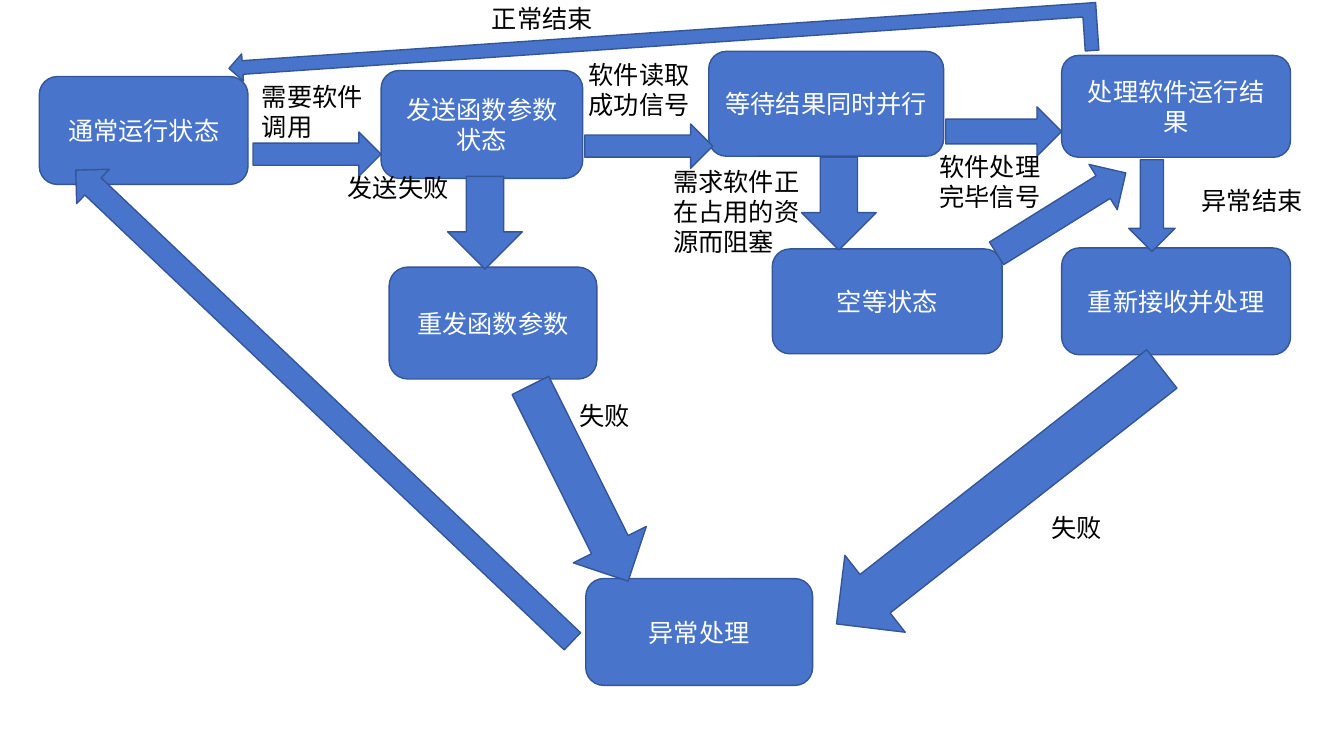
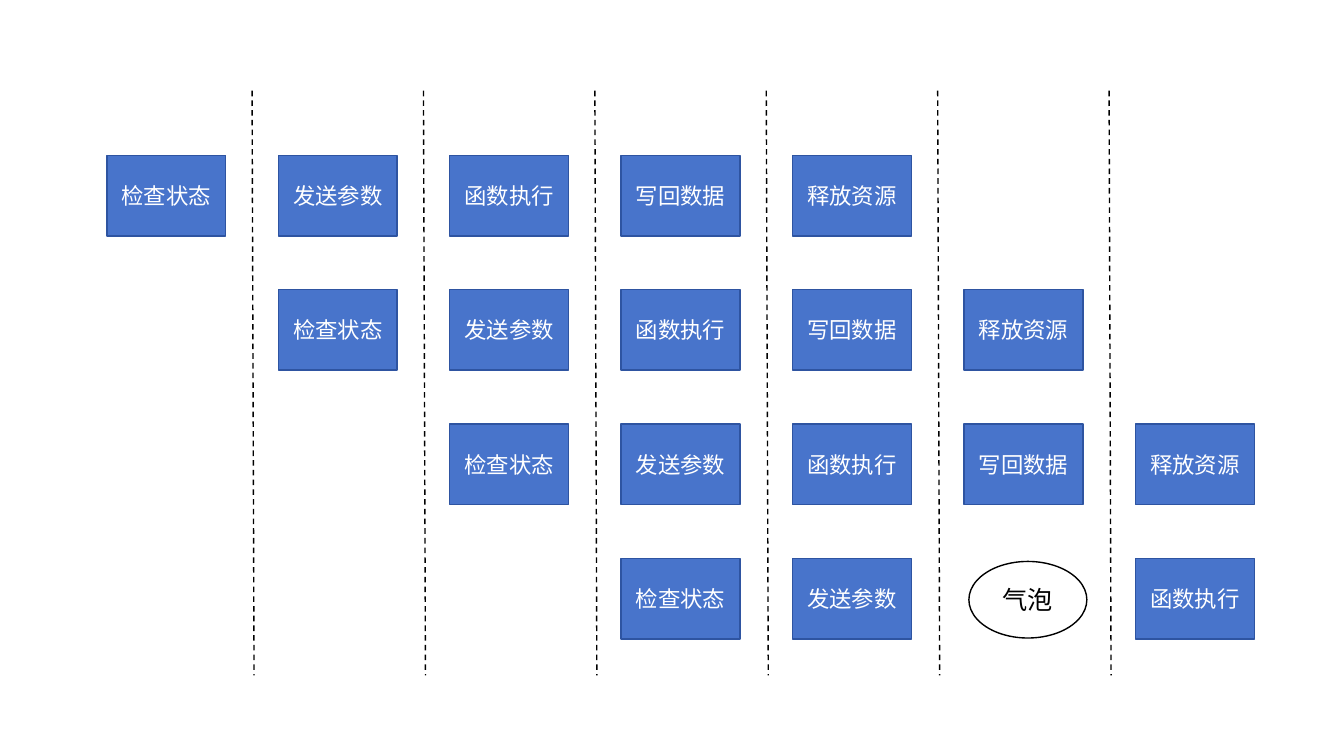
from pptx import Presentation
from pptx.dml.color import RGBColor
from pptx.enum.dml import MSO_LINE
from pptx.enum.shapes import MSO_CONNECTOR, MSO_SHAPE
from pptx.enum.text import MSO_ANCHOR, PP_ALIGN
from pptx.oxml.ns import qn
from pptx.util import Inches, Pt

BOX = MSO_SHAPE.RECTANGLE
STATE = MSO_SHAPE.ROUNDED_RECTANGLE
OVAL = MSO_SHAPE.OVAL
ARROW = MSO_SHAPE.RIGHT_ARROW
BENT_ARROW = MSO_SHAPE.BENT_UP_ARROW
STRAIGHT = MSO_CONNECTOR.STRAIGHT
DASH = MSO_LINE.DASH
CENTER, LEFT = PP_ALIGN.CENTER, PP_ALIGN.LEFT
MIDDLE = MSO_ANCHOR.MIDDLE

FONT = "Calibri"
COLORS = {
    "blue": "4874CB",
    "state_edge": "355696",
    "stage_edge": "2E54A1",
    "white": "FFFFFF",
    "black": "000000",
}

# State machine: text, left, top, width, height
STATES = [
    ("通常运行状态", 0.39, 0.76, 2.07, 1.07),
    ("发送函数参数状态", 3.78, 0.7, 2, 1.07),
    ("等待结果同时并行", 7.03, 0.51, 2.33, 1.04),
    ("异常处理", 5.81, 5.74, 2.25, 1.06),
    ("空等状态", 7.66, 2.47, 2.28, 1.04),
    ("重发函数参数", 3.86, 2.65, 2.06, 1.11),
    ("重新接收并处理", 10.53, 2.46, 2.27, 1.06),
    ("处理软件运行结果", 10.53, 0.55, 2.27, 1.01),
]
# Transitions: left, top, width, height before rotation, then degrees
TRANSITIONS = [
    (ARROW, 2.51, 1.31, 1.27, 0.44, 0),
    (ARROW, 9.77, 1.85, 1.51, 0.53, 328.1),
    (ARROW, 4.35, 1.84, 0.92, 0.74, 90),
    (ARROW, 9.38, 1.06, 1.15, 0.49, 0),
    (ARROW, 5.8, 1.23, 1.27, 0.44, 0),
    (ARROW, 4.66, 4.39, 2.17, 0.81, 63.5),
    (ARROW, 7.86, 1.65, 0.92, 0.74, 90),
    (ARROW, 10.97, 1.81, 0.91, 0.46, 90),
    (ARROW, 7.86, 4.44, 4.1, 0.97, 141.9),
    (ARROW, -0.18, 3.79, 6.79, 0.47, 223.5),
    (BENT_ARROW, 6.31, -3.79, 0.54, 8.62, 266.1),
]
# Conditions beside the transitions: text, left, top, width, height
CONDITIONS = [
    ("需要软件调用", 2.5, 0.76, 1.3, 0.71),
    ("软件读取成功信号", 5.74, 0.54, 1.3, 0.71),
    ("发送失败", 3.35, 1.66, 1.3, 0.4),
    ("需求软件正在占用的资源而阻塞", 6.58, 1.6, 1.59, 1.01),
    ("软件处理完毕信号", 9.22, 1.45, 1.3, 0.71),
    ("异常结束", 11.82, 1.79, 1.3, 0.4),
    ("失败", 5.74 - 0.09, 3.92, 1.72, 0.4),
    ("正常结束", 4.78, -0.02, 1.72, 0.4),
    ("失败", 10.33, 5.03, 0.98, 0.4),
]

# Pipeline: each task starts one column later than the one above
STAGES = ["检查状态", "发送参数", "函数执行", "写回数据", "释放资源"]
BUBBLE = "气泡"
TASKS = [STAGES] * 3 + [STAGES[:2] + [BUBBLE] + STAGES[2:3]]
GRID_LEFT, GRID_TOP = 1.06, 1.54
COLUMN_STEP, ROW_STEP = 1.7, 4 / 3
STAGE_WIDTH, STAGE_HEIGHT = 1.18, 0.8
DIVIDER_LEFT, DIVIDER_TOP, DIVIDER_BOTTOM = 2.5, 0.9, 6.7
DIVIDER_COUNT, DIVIDER_SLANT = 6, 0.02


def color(name):
    return RGBColor.from_string(COLORS[name])


def set_text(frame, text, size, text_color, align):
    frame.word_wrap = True
    paragraph = frame.paragraphs[0]
    paragraph.text = text
    paragraph.alignment = align
    paragraph.font.name = FONT
    paragraph.font.size = Pt(size)
    paragraph.font.color.rgb = color(text_color)


def add_figure(slide, kind, bounds, fill="blue", edge="state_edge"):
    figure = slide.shapes.add_shape(kind, *map(Inches, bounds))
    figure.shadow.inherit = False
    figure.fill.solid()
    figure.fill.fore_color.rgb = color(fill)
    figure.line.color.rgb = color(edge)
    figure.line.width = Pt(1)
    return figure


def add_node(slide, kind, text, bounds, size=18, text_color="white", **style):
    node = add_figure(slide, kind, bounds, **style)
    node.text_frame.vertical_anchor = MIDDLE
    set_text(node.text_frame, text, size, text_color, CENTER)


def add_label(slide, text, bounds):
    label = slide.shapes.add_textbox(*map(Inches, bounds))
    set_text(label.text_frame, text, 18, "black", LEFT)


def add_divider(slide, left):
    ends = (left, DIVIDER_TOP, left + DIVIDER_SLANT, DIVIDER_BOTTOM)
    divider = slide.shapes.add_connector(STRAIGHT, *map(Inches, ends))
    divider.line.color.rgb = color("black")
    divider.line.width = Pt(1)
    divider.line.dash_style = DASH
    properties = divider._element.spPr
    properties.append(properties.makeelement(qn("a:effectLst"), {}))


def build_state_machine(slide):
    for text, *bounds in STATES:
        add_node(slide, STATE, text, bounds)
    for kind, *bounds, angle in TRANSITIONS:
        add_figure(slide, kind, bounds).rotation = angle
    for text, *bounds in CONDITIONS:
        add_label(slide, text, bounds)


def build_pipeline(slide):
    for index in range(DIVIDER_COUNT):
        add_divider(slide, DIVIDER_LEFT + index * COLUMN_STEP)
    for row, task in enumerate(TASKS):
        top = GRID_TOP + row * ROW_STEP
        for column, stage in enumerate(task, start=row):
            left = GRID_LEFT + column * COLUMN_STEP
            if stage == BUBBLE:
                # The stall sits slightly inside its cell
                add_node(slide, OVAL, stage, (left + 0.05, top + 0.03, 1.17, 0.76),
                         text_color="black", fill="white", edge="black")
            else:
                add_node(slide, BOX, stage, (left, top, STAGE_WIDTH, STAGE_HEIGHT),
                         size=16, edge="stage_edge")


def main():
    deck = Presentation()
    deck.slide_width, deck.slide_height = Inches(13.33), Inches(7.5)
    blank = deck.slide_layouts[6]
    for build in (build_state_machine, build_pipeline):
        build(deck.slides.add_slide(blank))
    deck.save("out.pptx")


if __name__ == "__main__":
    main()
